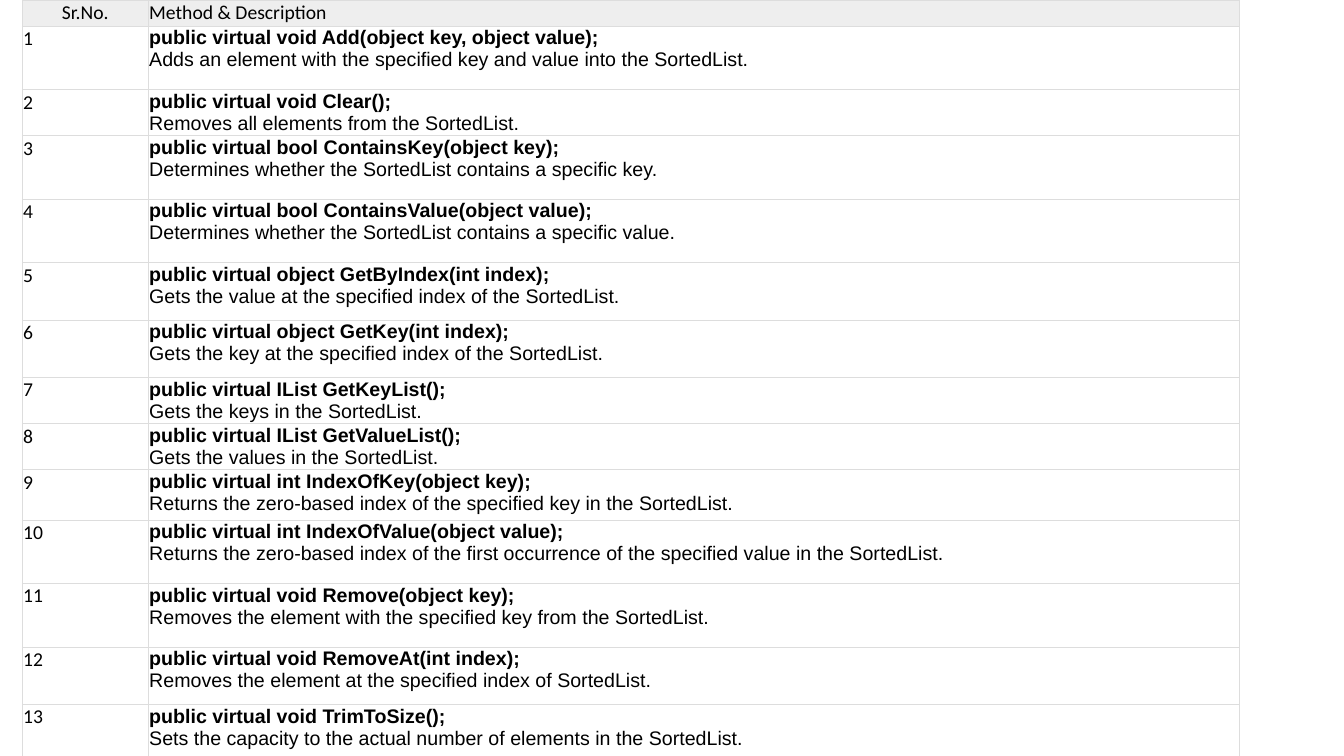
from lxml import etree
from pptx import Presentation
from pptx.dml.color import RGBColor
from pptx.enum.text import MSO_ANCHOR, PP_ALIGN
from pptx.oxml.ns import qn
from pptx.util import Inches, Pt

LEFT, CENTER, JUSTIFY = PP_ALIGN.LEFT, PP_ALIGN.CENTER, PP_ALIGN.JUSTIFY
TOP = MSO_ANCHOR.TOP

HEADINGS = ("Sr.No.", "Method & Description")
SHORT, NORMAL, MEDIUM, TALL = 0.36, 0.5, 0.57, 0.63
METHODS = [  # return type, signature, description, row height
    ("void", "Add(object key, object value)",
     "Adds an element with the specified key and value into the SortedList.", TALL),
    ("void", "Clear()", "Removes all elements from the SortedList.", SHORT),
    ("bool", "ContainsKey(object key)",
     "Determines whether the SortedList contains a specific key.", TALL),
    ("bool", "ContainsValue(object value)",
     "Determines whether the SortedList contains a specific value.", TALL),
    ("object", "GetByIndex(int index)",
     "Gets the value at the specified index of the SortedList.", MEDIUM),
    ("object", "GetKey(int index)",
     "Gets the key at the specified index of the SortedList.", MEDIUM),
    ("IList", "GetKeyList()", "Gets the keys in the SortedList.", SHORT),
    ("IList", "GetValueList()", "Gets the values in the SortedList.", SHORT),
    ("int", "IndexOfKey(object key)",
     "Returns the zero-based index of the specified key in the SortedList.", NORMAL),
    ("int", "IndexOfValue(object value)",
     "Returns the zero-based index of the first occurrence of the specified value"
     " in the SortedList.", TALL),
    ("void", "Remove(object key)",
     "Removes the element with the specified key from the SortedList.", TALL),
    ("void", "RemoveAt(int index)",
     "Removes the element at the specified index of SortedList.", MEDIUM),
    ("void", "TrimToSize()",
     "Sets the capacity to the actual number of elements in the SortedList.", MEDIUM),
]

COLORS = {"text": "000000", "header": "EEEEEE", "border": "DDDDDD"}
COLUMN_WIDTHS = (1.25, 10.82)
ROW_HEIGHTS = [0.16] + [method[-1] for method in METHODS]
TABLE_LEFT, CELL_MARGIN = 0.22, 0.01


def write(paragraph, text, font="Calibri", bold=False, align=LEFT):
    """Put one formatted run into a paragraph."""
    paragraph.alignment = align
    run = paragraph.add_run()
    run.text = text
    run.font.name, run.font.size, run.font.bold = font, Pt(14), bold
    run.font.color.rgb = RGBColor.from_string(COLORS["text"])


def style_cell(cell, fill=None):
    """Set margins, borders and fill of a cell."""
    cell.margin_left = cell.margin_right = Inches(CELL_MARGIN)
    cell.margin_top = cell.margin_bottom = Inches(CELL_MARGIN)
    cell.vertical_anchor = TOP
    properties = cell._tc.get_or_add_tcPr()
    for side in ("a:lnL", "a:lnR", "a:lnT", "a:lnB"):
        line = etree.SubElement(properties, qn(side), w=str(Pt(0.5)))
        solid = etree.SubElement(line, qn("a:solidFill"))
        etree.SubElement(solid, qn("a:srgbClr"), val=COLORS["border"])
    if fill:
        cell.fill.solid()
        cell.fill.fore_color.rgb = RGBColor.from_string(fill)
    else:
        cell.fill.background()


def add_method_table(slide):
    """Add the table of methods, one numbered row for each."""
    frame = slide.shapes.add_table(
        len(ROW_HEIGHTS), len(COLUMN_WIDTHS), Inches(TABLE_LEFT), 0,
        Inches(sum(COLUMN_WIDTHS)), Inches(sum(ROW_HEIGHTS)))
    table = frame.table
    table.horz_banding = False
    for column, width in zip(table.columns, COLUMN_WIDTHS):
        column.width = Inches(width)
    for row, height in zip(table.rows, ROW_HEIGHTS):
        row.height = Inches(height)

    for col, (heading, align) in enumerate(zip(HEADINGS, (CENTER, LEFT))):
        cell = table.cell(0, col)
        style_cell(cell, COLORS["header"])
        write(cell.text_frame.paragraphs[0], heading, align=align)

    for number, (returns, signature, description, _) in enumerate(METHODS, 1):
        number_cell, method_cell = table.cell(number, 0), table.cell(number, 1)
        style_cell(number_cell)
        style_cell(method_cell)
        write(number_cell.text_frame.paragraphs[0], str(number))
        body = method_cell.text_frame
        write(body.paragraphs[0], f"public virtual {returns} {signature};",
              font="Arial", bold=True, align=JUSTIFY)
        write(body.add_paragraph(), description, font="Arial", align=JUSTIFY)


presentation = Presentation()
presentation.slide_width, presentation.slide_height = Inches(13.33), Inches(7.5)
add_method_table(presentation.slides.add_slide(presentation.slide_layouts[6]))
presentation.save("out.pptx")
